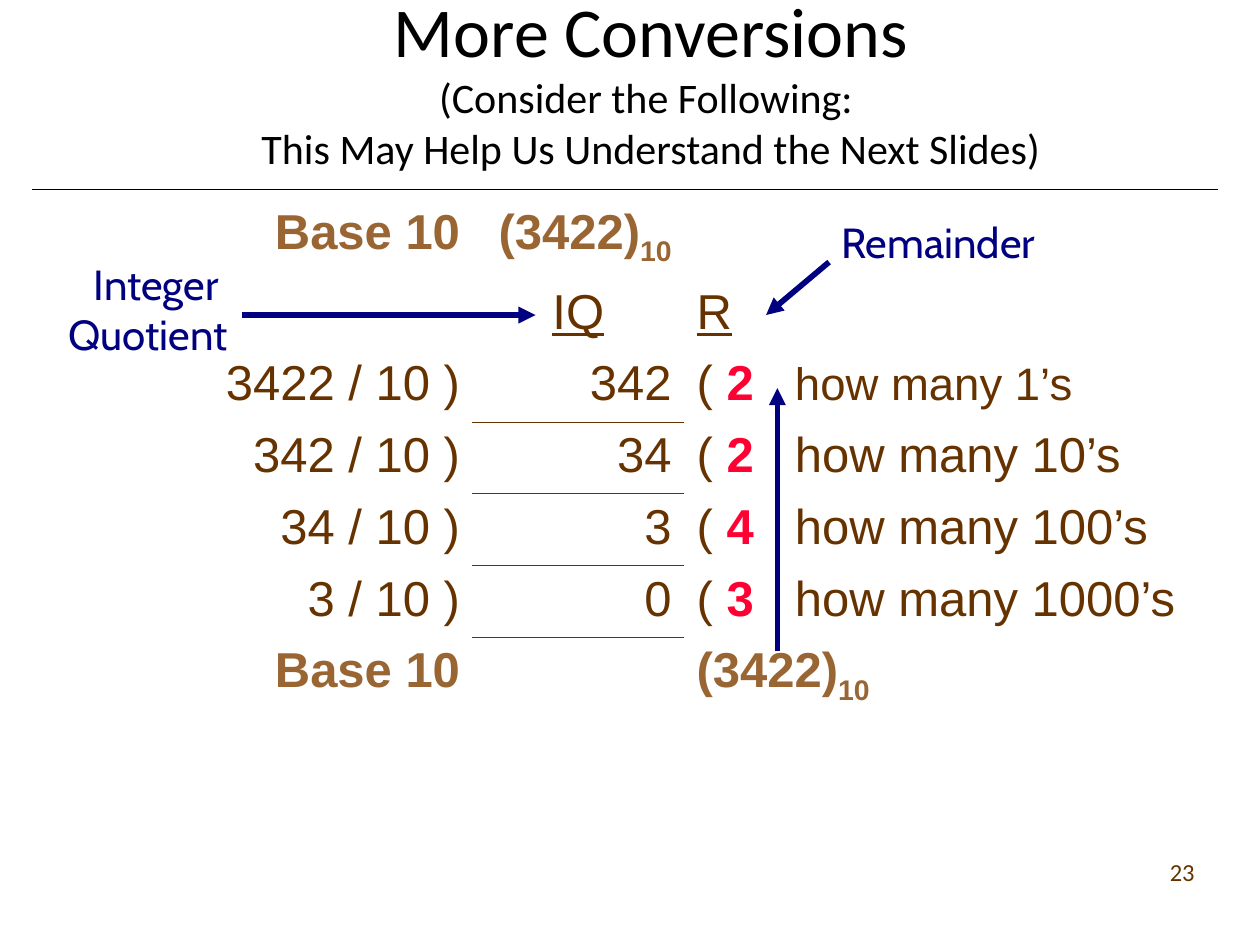
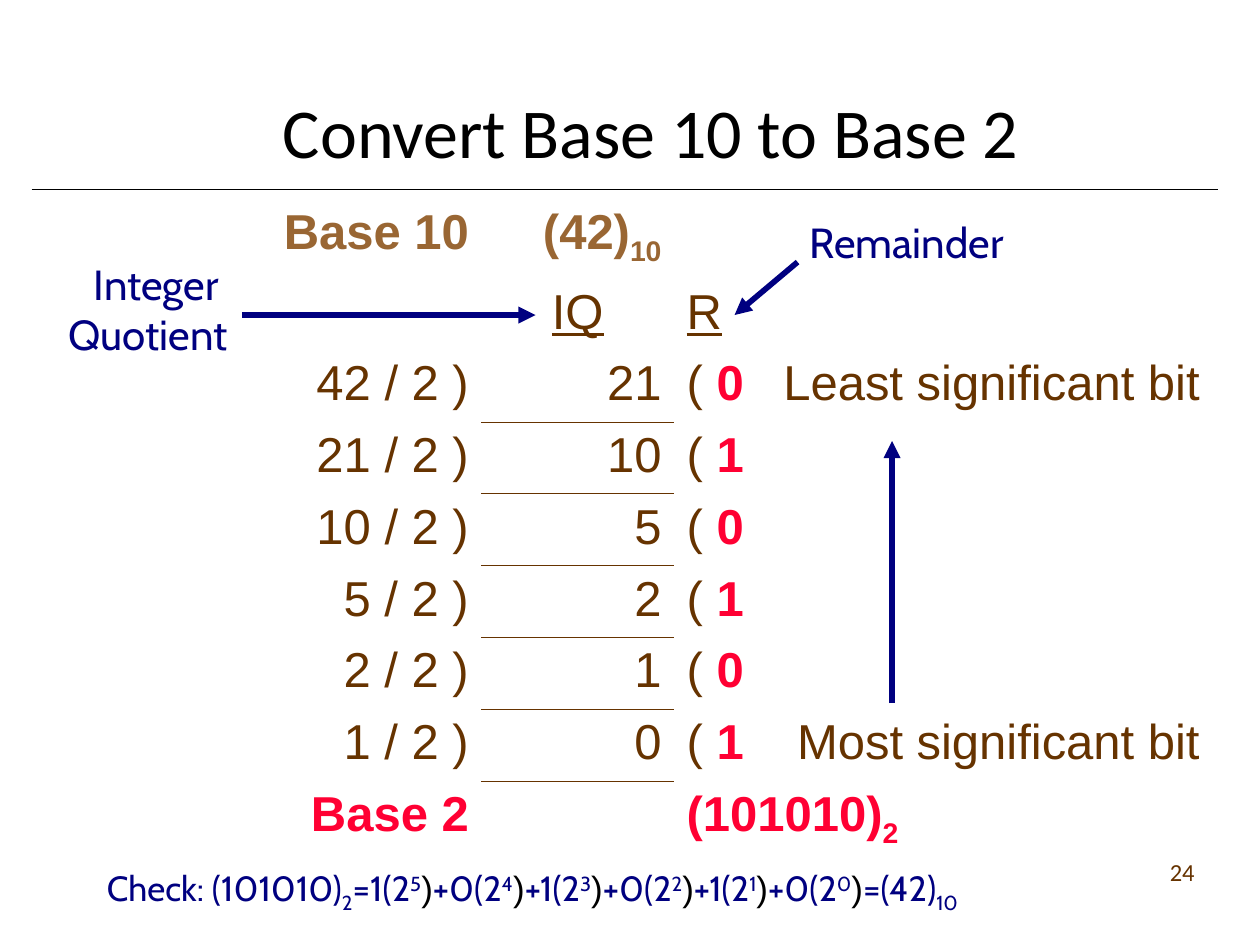
from copy import deepcopy

from lxml import etree
from pptx import Presentation
from pptx.dml.color import RGBColor
from pptx.enum.shapes import MSO_CONNECTOR
from pptx.enum.text import MSO_ANCHOR, MSO_AUTO_SIZE, PP_ALIGN
from pptx.oxml.ns import qn
from pptx.util import Inches, Pt

LEFT, CENTER, RIGHT = PP_ALIGN.LEFT, PP_ALIGN.CENTER, PP_ALIGN.RIGHT
BOTTOM, NO_FIT = MSO_ANCHOR.BOTTOM, MSO_AUTO_SIZE.NONE
STRAIGHT = MSO_CONNECTOR.STRAIGHT

BLACK, NAVY, RED = "000000", "000080", "FF0033"
BROWN, TAN = "663300", "996633"
NO_GRID_STYLE = "{2D5ABB26-0587-4C30-8999-92F81FD0307C}"
END_ROW, ROW = 0.63, 0.57

SLIDES = [
    {
        "title": [
            ("More Conversions\n", {}),
            ("(Consider the Following: \nThis May Help Us Understand the Next Slides)", {"size": 24}),
        ],
        "number": "3422",
        "base": 10,
        "result_color": TAN,
        "notes": ["how many 1’s", "how many 10’s", "how many 100’s", "how many 1000’s"],
        "note_sizes": {0: 26},
        "note_tab": (0.78, "l"),
        "table_left": 1.58,
        "columns": [2.17, 1.68, 4.57],
        "remainder_left": 6.58,
        "reading_arrow": (6.17, 5.17, 6.17, 3.08),
        "page": "23",
    },
    {
        "title": [("Convert Base 10 to Base 2", {})],
        "number": "42",
        "base": 2,
        "result_color": RED,
        "notes": ["Least significant bit", "", "", "", "", "Most significant bit"],
        "note_sizes": {},
        "note_tab": (4.07, "r"),
        "table_left": 1.92,
        "columns": [1.9, 1.53, 4.4],
        "remainder_left": 6.33,
        "reading_arrow": (7.08, 5.58, 7.08, 3.5),
        "check": True,
        "page": "24",
    },
]


def rgb(value):
    return RGBColor.from_string(value)


def write(tf, runs, align=LEFT, tab=None, indent=None, **base):
    p = tf.paragraphs[0]
    p.alignment = align
    pPr = p._p.get_or_add_pPr()
    if indent:
        pPr.set("indent", str(Inches(indent)))
    if tab:
        tabs = etree.SubElement(pPr, qn("a:tabLst"))
        etree.SubElement(tabs, qn("a:tab"), pos=str(Inches(tab[0])), algn=tab[1])
    for text, changes in runs:
        fmt = {**base, **changes}
        for i, line in enumerate(text.split("\n")):
            if i:
                p.add_line_break()
                p._p[-1].append(deepcopy(r._r.rPr))
            if not line:
                continue
            r = p.add_run()
            r.text = line
            r.font.name = fmt["font"]
            r.font.size = Pt(fmt["size"])
            r.font.color.rgb = rgb(fmt["color"])
            r.font.bold = fmt.get("bold", False)
            r.font.underline = fmt.get("underline", False)
            if "baseline" in fmt:
                r._r.rPr.set("baseline", str(fmt["baseline"] * 1000))


def add_text(shapes, box, runs, **fmt):
    tf = shapes.add_textbox(*map(Inches, box)).text_frame
    tf.word_wrap = True
    write(tf, runs, **fmt)


def add_line(shapes, ends, color, width, arrow=False):
    line = shapes.add_connector(STRAIGHT, *map(Inches, ends))
    line.line.color.rgb = rgb(color)
    line.line.width = Pt(width)
    spPr = line._element.spPr
    if arrow:
        etree.SubElement(spPr.find(qn("a:ln")), qn("a:tailEnd"), type="triangle")
    etree.SubElement(spPr, qn("a:effectLst"))
    return line


def add_callout(s, label, box, ends, **fmt):
    group = s.shapes.add_group_shape()
    add_text(group.shapes, box, [(label, {})], font="Cabin", size=24, color=NAVY, **fmt)
    add_line(group.shapes, ends, NAVY, 3.25, arrow=True)


def with_subscript(text, base):
    return [(f"({text})", {}), (str(base), {"baseline": -25})]


def divide(number, base):
    steps, n = [], int(number)
    while n:
        steps.append((n, n // base, n % base))
        n //= base
    return steps


def border(cell, edge):
    tcPr = cell._tc.get_or_add_tcPr()
    ln = etree.Element(qn(f"a:{edge}"), w=str(Pt(0.45)))
    fill = etree.SubElement(ln, qn("a:solidFill"))
    etree.SubElement(fill, qn("a:srgbClr"), val=BROWN)
    tcPr.insert(0, ln)


def add_division_table(s, data, steps):
    base = data["base"]
    digits = "".join(str(step[2]) for step in reversed(steps))
    source = {"color": TAN, "bold": True}
    result = {"color": data["result_color"], "bold": True}
    heading = {"underline": True}
    rows = [
        [([("Base 10", {})], RIGHT, source), (with_subscript(data["number"], 10), RIGHT, source), None],
        [None, ([("IQ", {})], CENTER, heading), ([("R", {})], LEFT, heading)],
    ]
    for i, ((n, quotient, remainder), note) in enumerate(zip(steps, data["notes"])):
        runs = [("( ", {}), (str(remainder), {"color": RED, "bold": True})]
        if note:
            runs.append((f"\t{note}", {"size": data["note_sizes"].get(i, 28)}))
        rows.append([
            ([(f"{n} / {base} )", {})], RIGHT, {}),
            ([(str(quotient), {})], RIGHT, {}),
            (runs, LEFT, {"tab": data["note_tab"]}),
        ])
    rows.append([([(f"Base {base}", {})], RIGHT, result), None, (with_subscript(digits, base), LEFT, result)])

    last = len(rows) - 1
    heights = [END_ROW] + [ROW] * (last - 1) + [END_ROW]
    box = (data["table_left"], 1.58, sum(data["columns"]), sum(heights))
    table = s.shapes.add_table(len(rows), 3, *map(Inches, box)).table
    table.first_row = table.horz_banding = False
    table._tbl.tblPr.find(qn("a:tableStyleId")).text = NO_GRID_STYLE
    for column, width in zip(table.columns, data["columns"]):
        column.width = Inches(width)
    for i, (row, height) in enumerate(zip(rows, heights)):
        table.rows[i].height = Inches(height)
        for j, content in enumerate(row):
            cell = table.cell(i, j)
            cell.fill.background()
            if content:
                runs, align, fmt = content
                write(cell.text_frame, runs, align, **{"font": "Arial", "size": 28, "color": BROWN, **fmt})
        if 2 <= i < last:
            border(table.cell(i, 1), "lnB")
        if i > 2:
            border(table.cell(i, 1), "lnT")


def add_check(s, data, steps):
    bits = [step[2] for step in reversed(steps)]
    digits = "".join(map(str, bits))
    runs = [("Check: ", {})] + with_subscript(digits, data["base"])
    for i, bit in enumerate(bits):
        runs += [
            (f"{'+' if i else '='}{bit}({data['base']}", {}),
            (str(len(bits) - 1 - i), {"baseline": 30}),
            (")", {"font": "Arial", "color": BLACK}),
        ]
    runs += [("=", {})] + with_subscript(data["number"], 10)
    add_text(s.shapes, (0.75, 6.83, 8.5, 0.48), runs, font="Cabin", size=20, color=NAVY)


def add_title(s, runs):
    title = s.shapes.title
    title.left, title.top, title.width, title.height = map(Inches, (0.83, 0.17, 8.67, 1.25))
    tf = title.text_frame
    tf.word_wrap = True
    tf.auto_size = NO_FIT
    tf.vertical_anchor = BOTTOM
    write(tf, runs, CENTER, font="Calibri", size=40, color=BLACK)


def build_slide(prs, layout, data):
    s = prs.slides.add_slide(layout)
    steps = divide(data["number"], data["base"])
    x = data["remainder_left"]
    add_title(s, data["title"])
    add_division_table(s, data, steps)
    add_callout(s, "Remainder", (x, 1.67, 2, 0.5), (x, 2.08, x - 0.5, 2.5))
    add_callout(s, "Integer Quotient", (0.25, 2, 1.85, 0.9), (1.92, 2.5, 4.25, 2.5), align=CENTER, indent=0.13)
    add_line(s.shapes, data["reading_arrow"], NAVY, 3.25, arrow=True)
    if data.get("check"):
        add_check(s, data, steps)
    add_text(s.shapes, (7.5, 6.75, 2.08, 0.5), [(data["page"], {})], align=RIGHT, font="Calibri", size=14, color=BROWN)
    return s


def main():
    prs = Presentation()
    prs.slide_width, prs.slide_height = Inches(10), Inches(7.5)
    layout = prs.slide_layouts[5]
    slides = [build_slide(prs, layout, data) for data in SLIDES]
    rule = add_line(slides[0].shapes, (0.25, 1.5, 9.67, 1.5), BLACK, 0.5)
    layout.shapes._spTree.append(rule._element)
    prs.save("out.pptx")


if __name__ == "__main__":
    main()
